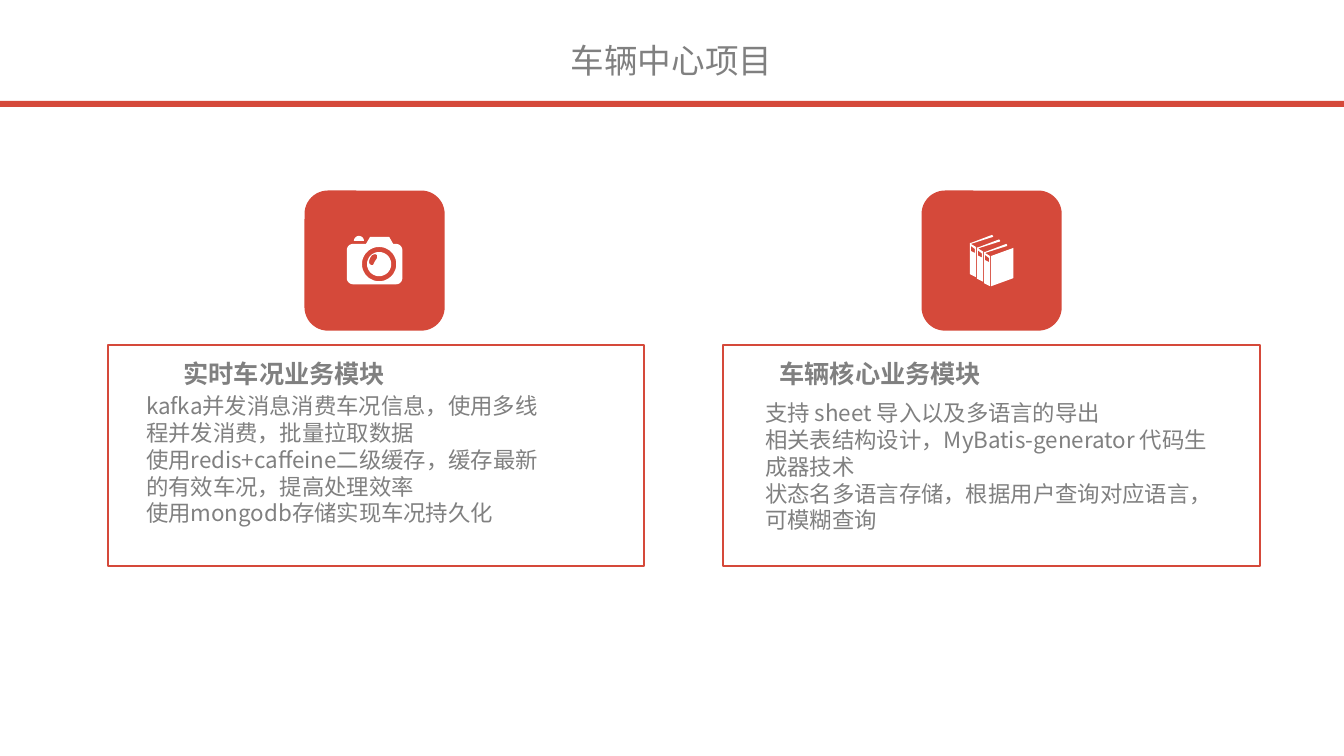
from math import cos, pi, sin

from pptx import Presentation
from pptx.dml.color import RGBColor
from pptx.enum.shapes import MSO_SHAPE
from pptx.enum.text import MSO_ANCHOR, MSO_AUTO_SIZE, PP_ALIGN
from pptx.oxml.ns import qn
from pptx.util import Inches, Pt

COLORS = {"accent": "D5493A", "text": "808080", "white": "FFFFFF"}
FONT = "Noto Sans CJK SC"
UNITS_PER_INCH = 1000

TITLE = {"size": Pt(24), "bold": False}
HEADING = {"size": Pt(18), "bold": True}
BODY = {"size": Pt(16), "bold": False}

MODULES = [
    {
        "frame": (1.07, 3.42, 5.32, 2.2),
        "badge": (3.02, 1.89, 1.39, 1.39),
        "heading_box": (1.58, 3.51, 2.48, 0.4),
        "heading": "实时车况业务模块",
        "body_box": (1.35, 3.84, 4.22, 1.72),
        "body": [
            "kafka并发消息消费车况信息，使用多线程并发消费，批量拉取数据",
            "使用redis+caffeine二级缓存，缓存最新的有效车况，提高处理效率",
            "使用mongodb存储实现车况持久化",
        ],
    },
    {
        "frame": (7.17, 3.42, 5.33, 2.2),
        "badge": (9.14, 1.89, 1.39, 1.39),
        "heading_box": (7.49, 3.51, 2.48, 0.4),
        "heading": "车辆核心业务模块",
        "body_box": (7.49, 3.91, 4.67, 1.72),
        "body": [
            "⽀持 sheet 导⼊以及多语⾔的导出",
            "相关表结构设计，MyBatis-generator 代码⽣成器技术",
            "状态名多语⾔存储，根据⽤户查询对应语⾔，可模糊查询",
        ],
    },
]

BOOK_SPINE = [(0.23, 0.01), (0.22, 0), (0.01, 0.08), (0, 0.08), (0, 0.39),
              (0.06, 0.42), (0.06, 0.12), (0.01, 0.09), (0.23, 0.02)]
BOOK_LABEL = [(0.05, 0.14), (0.05, 0.18), (0.01, 0.16), (0.01, 0.11)]
BOOK_COVER = [(9.83, 2.54), (9.83, 2.84), (10.05, 2.76), (10.05, 2.46)]


def color(name):
    return RGBColor.from_string(COLORS[name])


def inches(box):
    return [Inches(v) for v in box]


def paint(sp, fill=None, line=None):
    sp.shadow.inherit = False
    if fill:
        sp.fill.solid()
        sp.fill.fore_color.rgb = color(fill)
    else:
        sp.fill.background()
    if line:
        sp.line.color.rgb = color(line)
        sp.line.width = Pt(1.5)
    else:
        sp.line.fill.background()


def add_box(slide, kind, box, **style):
    sp = slide.shapes.add_shape(kind, *inches(box))
    paint(sp, **style)
    return sp


def write(sp, lines, style, align=PP_ALIGN.LEFT):
    tf = sp.text_frame
    frame_format = {"word_wrap": True, "auto_size": MSO_AUTO_SIZE.NONE,
                    "vertical_anchor": MSO_ANCHOR.TOP}
    for name, value in frame_format.items():
        setattr(tf, name, value)
    for i, line in enumerate(lines):
        p = tf.add_paragraph() if i else tf.paragraphs[0]
        p.alignment = align
        p.line_spacing = Pt(style["size"].pt * 1.2)
        r = p.add_run()
        r.text = line
        for name, value in {"name": FONT, **style}.items():
            setattr(r.font, name, value)
        r.font.color.rgb = color("text")
        ea = r.font._element.makeelement(qn("a:ea"), {"typeface": FONT})
        r.font._element.find(qn("a:latin")).addnext(ea)


def add_text(slide, box, lines, style, align=PP_ALIGN.LEFT):
    write(slide.shapes.add_textbox(*inches(box)), lines, style, align)


def arc(cx, cy, radius, start=0, end=360, steps=40):
    """Points along a circle, with angles in degrees clockwise from the right."""
    angles = [(start + (end - start) * i / steps) * pi / 180 for i in range(steps + 1)]
    return [(cx + radius * cos(a), cy + radius * sin(a)) for a in angles]


def shifted(points, dx, dy):
    return [(x + dx, y + dy) for x, y in points]


def add_icon(slide, contours):
    """One white outline; a contour inside another cuts a hole."""
    scaled = [[(x * UNITS_PER_INCH, y * UNITS_PER_INCH) for x, y in c] for c in contours]
    builder = slide.shapes.build_freeform(*scaled[0][0], scale=Inches(1) / UNITS_PER_INCH)
    for i, points in enumerate(scaled):
        if i:
            builder.move_to(*points[0])
        builder.add_line_segments(points[1:], close=True)
    paint(builder.convert_to_shape(), fill="white")


def add_camera(slide):
    corner = 0.06
    body = [(3.67, 2.35), (3.63, 2.42)]
    body += arc(3.5, 2.48, corner, 270, 180, 8)
    body += arc(3.5, 2.76, corner, 180, 90, 8)
    body += arc(3.93, 2.76, corner, 90, 0, 8)
    body += arc(3.93, 2.48, corner, 0, -90, 8)
    body += [(3.9, 2.42), (3.86, 2.35)]
    flash = arc(3.56, 2.39, 0.05, 180, 360, 12)
    glint = [(3.74, 2.53), (3.72, 2.52), (3.69, 2.53), (3.67, 2.56), (3.66, 2.59),
             (3.66, 2.61), (3.68, 2.63), (3.7, 2.63), (3.72, 2.59), (3.74, 2.56)]
    add_icon(slide, [body, flash, arc(3.76, 2.62, 0.17), arc(3.76, 2.62, 0.12), glint])


def add_books(slide):
    contours = [BOOK_COVER]
    for i in range(3):
        origin = 9.62 + 0.07 * i, 2.33 + 0.045 * i
        contours += [shifted(BOOK_SPINE, *origin), shifted(BOOK_LABEL, *origin)]
    add_icon(slide, contours)


def add_module(slide, module, add_symbol):
    add_box(slide, MSO_SHAPE.RECTANGLE, module["frame"], line="accent")
    badge = add_box(slide, MSO_SHAPE.ROUNDED_RECTANGLE, module["badge"], fill="accent")
    badge.adjustments[0] = 0.167
    add_text(slide, module["heading_box"], [module["heading"]], HEADING, PP_ALIGN.CENTER)
    add_text(slide, module["body_box"], module["body"], BODY)
    add_symbol(slide)


def add_title(slide, box, text):
    sp = slide.shapes.title
    sp.left, sp.top, sp.width, sp.height = inches(box)
    write(sp, [text], TITLE, PP_ALIGN.CENTER)


def main():
    prs = Presentation()
    prs.slide_width, prs.slide_height = Inches(13.33), Inches(7.5)
    slide = prs.slides.add_slide(prs.slide_layouts[5])
    add_title(slide, (5.41, 0.35, 2.5, 0.5), "车辆中心项目")
    add_box(slide, MSO_SHAPE.RECTANGLE, (0, 1, 13.33, 0.06), fill="accent")
    for module, add_symbol in zip(MODULES, (add_camera, add_books)):
        add_module(slide, module, add_symbol)
    prs.save("out.pptx")


if __name__ == "__main__":
    main()
